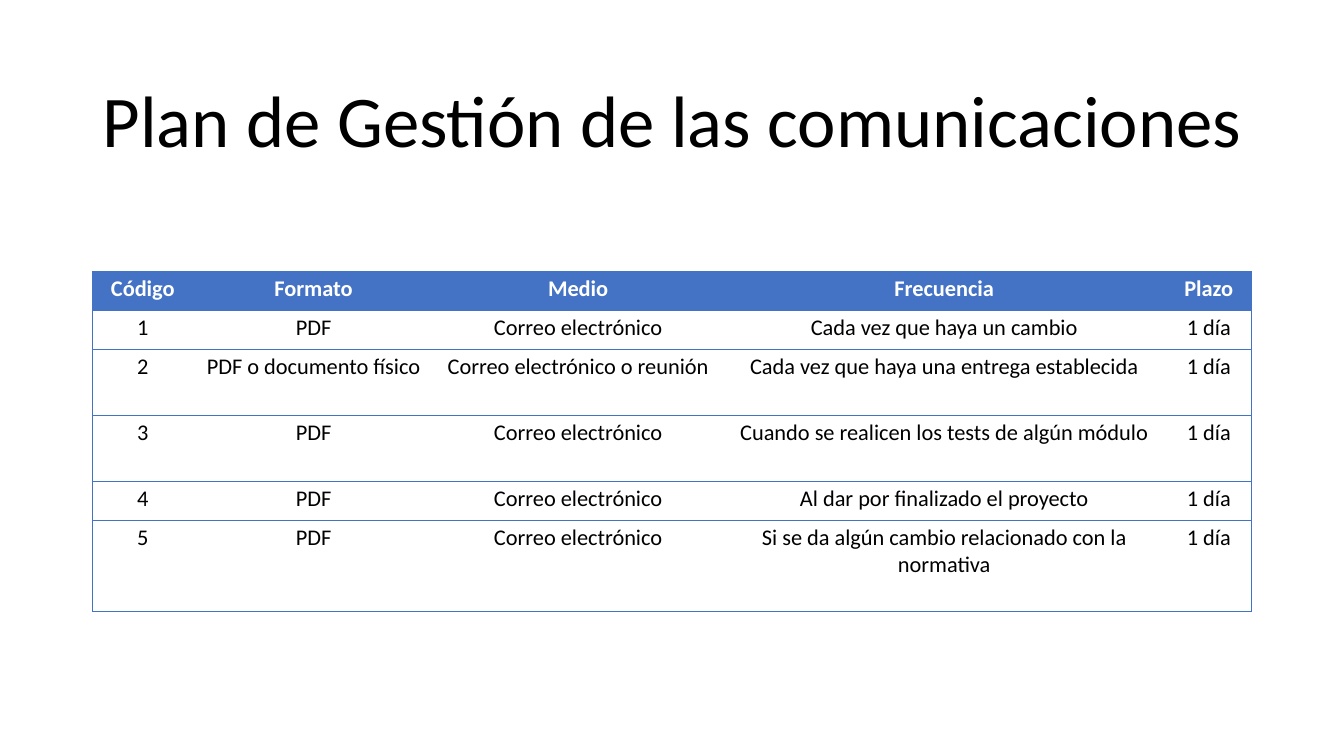
from dataclasses import dataclass

from lxml import etree
from pptx import Presentation
from pptx.dml import color
from pptx.enum import text
from pptx.oxml import ns
from pptx.util import Pt


@dataclass(frozen=True)
class Theme:
    font: str = "Calibri"
    title_size: float = 52
    cell_size: float = 16
    line_width: float = 0.5
    accent: str = "4472C4"
    ink: str = "000000"
    paper: str = "FFFFFF"


@dataclass(frozen=True)
class Column:
    heading: str
    width: float


@dataclass(frozen=True)
class Communication:
    code: str
    file_format: str
    medium: str
    frequency: str
    height: float
    deadline: str = "1 día"

    def values(self) -> list[str]:
        return [self.code, self.file_format, self.medium, self.frequency, self.deadline]


THEME = Theme()
LEFT, TABLE_TOP = 66, 193.5
HEADER_HEIGHT = 28
PLAIN_GRID_STYLE = "{2D5ABB26-0587-4C30-8999-92F81FD0307C}"

COLUMNS = [
    Column("Código", 72),
    Column("Formato", 172),
    Column("Medio", 206),
    Column("Frecuencia", 317),
    Column("Plazo", 61),
]
# Non-breaking spaces keep each phrase together when the cell wraps.
COMMUNICATIONS = [
    Communication("1", "PDF", "Correo electrónico", "Cada vez que haya un cambio", 28),
    Communication("2", "PDF o documento físico", "Correo electrónico o reunión",
                  "Cada vez que haya una entrega establecida", 47),
    Communication("3", "PDF", "Correo electrónico",
                  "Cuando se realicen los tests de algún módulo", 47),
    Communication("4", "PDF", "Correo electrónico", "Al dar por finalizado el proyecto", 28),
    Communication("5", "PDF", "Correo electrónico",
                  "Si se da algún cambio relacionado con la normativa", 65.5),
]


def style_paragraph(para, size: float, ink: str, bold: bool = False) -> None:
    para.alignment = text.PP_ALIGN.CENTER
    para.font.name = THEME.font
    para.font.size = Pt(size)
    para.font.bold = bold
    para.font.color.rgb = color.RGBColor.from_string(ink)


def add_borders(cell, sides: str) -> None:
    """Draw the sides named by L, R, T and B, in that order."""
    properties = cell._tc.get_or_add_tcPr()
    for side in sides:
        line = etree.SubElement(properties, ns.qn(f"a:ln{side}"), w=str(Pt(THEME.line_width)))
        fill = etree.SubElement(line, ns.qn("a:solidFill"))
        etree.SubElement(fill, ns.qn("a:srgbClr"), val=THEME.accent)


def fill_cell(cell, content: str, sides: str, is_header: bool) -> None:
    cell.text = content
    cell.margin_left = cell.margin_right = Pt(6.5)
    cell.margin_top = cell.margin_bottom = Pt(3)
    add_borders(cell, sides)
    if is_header:
        cell.fill.solid()
        cell.fill.fore_color.rgb = color.RGBColor.from_string(THEME.accent)
    else:
        cell.fill.background()
    ink = THEME.paper if is_header else THEME.ink
    style_paragraph(cell.text_frame.paragraphs[0], THEME.cell_size, ink, is_header)


def add_title(page, content: str) -> None:
    title = page.shapes.title
    title.left, title.top, title.width, title.height = Pt(LEFT), Pt(44), Pt(828), Pt(89)
    frame = title.text_frame
    frame.text = content
    frame.word_wrap = True
    frame.auto_size = text.MSO_AUTO_SIZE.NONE
    frame.vertical_anchor = text.MSO_ANCHOR.MIDDLE
    frame.paragraphs[0].line_spacing = 0.9
    style_paragraph(frame.paragraphs[0], THEME.title_size, THEME.ink)


def add_plan_table(page) -> None:
    rows = [[column.heading for column in COLUMNS]]
    rows += [item.values() for item in COMMUNICATIONS]
    heights = [HEADER_HEIGHT] + [item.height for item in COMMUNICATIONS]
    width = sum(column.width for column in COLUMNS)
    table = page.shapes.add_table(len(rows), len(COLUMNS), Pt(LEFT), Pt(TABLE_TOP),
                                  Pt(width), Pt(sum(heights))).table
    table.horz_banding = False
    table._tbl.tblPr.find(ns.qn("a:tableStyleId")).text = PLAIN_GRID_STYLE
    for index, column in enumerate(COLUMNS):
        table.columns[index].width = Pt(column.width)
    for row, (values, height) in enumerate(zip(rows, heights)):
        table.rows[row].height = Pt(height)
        for index, content in enumerate(values):
            left = "L" if index == 0 else ""
            right = "R" if index == len(COLUMNS) - 1 else ""
            fill_cell(table.cell(row, index), content, left + right + "TB", row == 0)


def main() -> None:
    deck = Presentation()
    deck.slide_width, deck.slide_height = Pt(960), Pt(540)
    page = deck.slides.add_slide(deck.slide_layouts[5])
    add_title(page, "Plan de Gestión de las comunicaciones")
    add_plan_table(page)
    deck.save("out.pptx")


if __name__ == "__main__":
    main()
